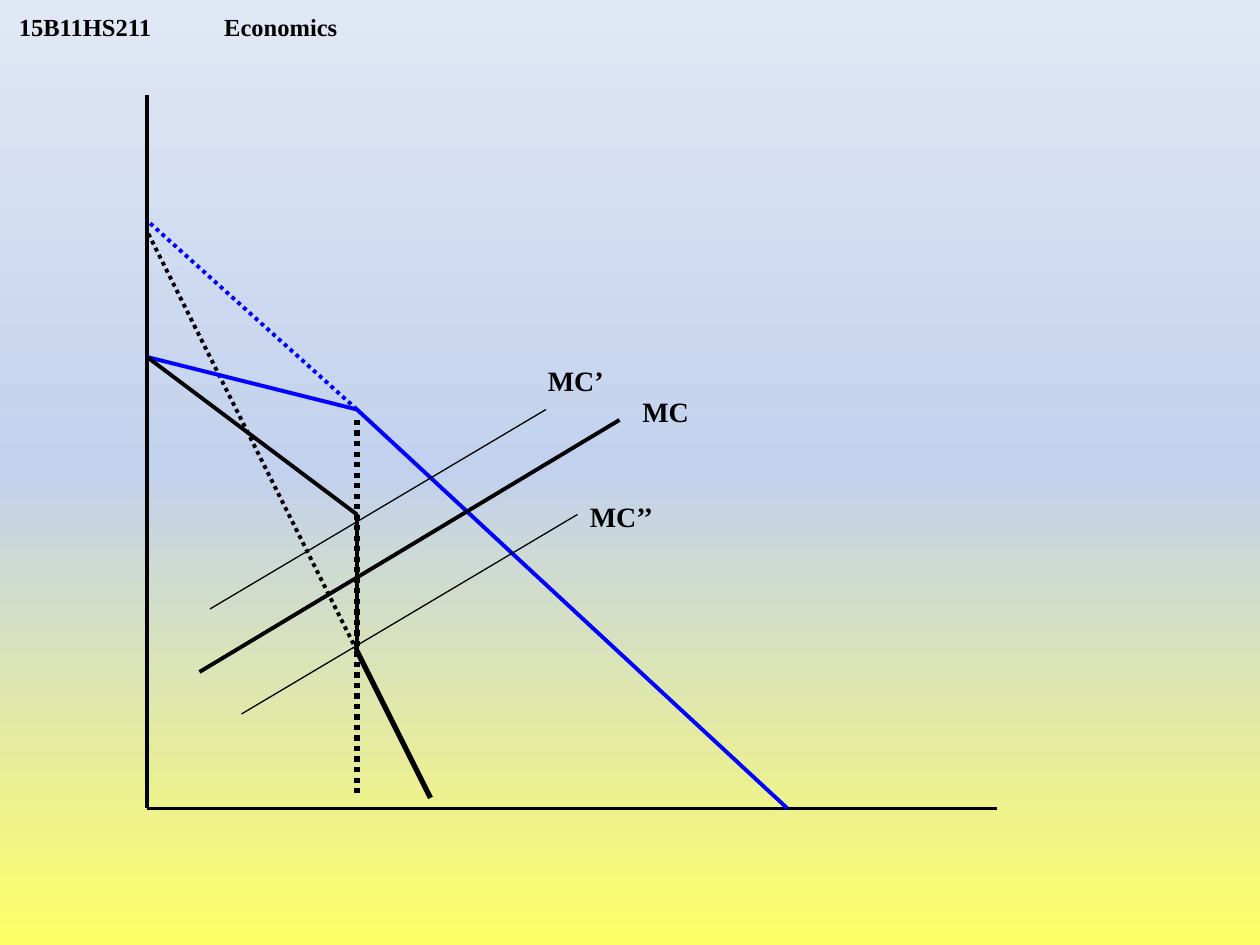
import copy
import lxml.etree
import pptx
import pptx.dml.color
import pptx.enum.dml
import pptx.enum.shapes
import pptx.enum.text
import pptx.oxml.ns
import pptx.util

INK = {"black": "000000", "blue": "0000FF", "sky": "E1E8F5", "mist": "C2D1ED", "sun": "FFFF66"}
FONT = "Times New Roman"
UNIT = 2.54 / 12
qn = pptx.oxml.ns.qn


def tint(name):
    return pptx.dml.color.RGBColor.from_string(INK[name])


def grid(n):
    return pptx.util.Cm(n * UNIT)


def write(frame, text, size=16, color="black", bold=True, tab=None):
    para = frame.paragraphs[0]
    if tab:
        tabs = lxml.etree.SubElement(para._p.get_or_add_pPr(), qn("a:tabLst"))
        lxml.etree.SubElement(tabs, qn("a:tab"), pos=str(tab), algn="l")
    run = para.add_run()
    run.text = text
    run.font.name = FONT
    run.font.size = pptx.util.Pt(size)
    run.font.bold = bold
    run.font.color.rgb = tint(color)


class Graph:
    def __init__(self, slide):
        self.slide = slide

    def back(self, *names):
        fill = self.slide.background.fill
        fill.gradient()
        fill.gradient_angle = 270
        stops = self.slide.element.find(".//" + qn("a:gsLst"))
        stops.insert(1, copy.deepcopy(stops[0]))
        for i, (stop, name) in enumerate(zip(fill.gradient_stops, names)):
            stop.position = i / (len(names) - 1)
            stop.color.rgb = tint(name)

    def line(self, start, end, color="black", width=2.25, dots=False):
        kind = pptx.enum.shapes.MSO_CONNECTOR.STRAIGHT
        link = self.slide.shapes.add_connector(kind, *map(grid, start + end))
        link.line.color.rgb = tint(color)
        link.line.width = pptx.util.Pt(width)
        if dots:
            link.line.dash_style = pptx.enum.dml.MSO_LINE.ROUND_DOT
        lxml.etree.SubElement(link._element.spPr, qn("a:effectLst"))

    def head(self, text):
        box = self.slide.shapes.add_textbox(*map(pptx.util.Cm, (0.13, 0, 8.13, 0.84)))
        frame = box.text_frame
        frame.word_wrap = True
        frame.vertical_anchor = pptx.enum.text.MSO_ANCHOR.BOTTOM
        frame.margin_top = frame.margin_bottom = 0
        write(frame, text, size=14, tab=pptx.util.Cm(4.14))

    def label(self, text, left, top, width):
        size = pptx.util.Cm(width), pptx.util.Cm(0.94)
        box = self.slide.shapes.add_textbox(grid(left), grid(top), *size)
        frame = box.text_frame
        frame.word_wrap = False
        frame.auto_size = pptx.enum.text.MSO_AUTO_SIZE.SHAPE_TO_FIT_TEXT
        write(frame, text)


def main():
    deck = pptx.Presentation()
    deck.slide_width = pptx.util.Cm(25.4)
    deck.slide_height = pptx.util.Cm(19.05)
    graph = Graph(deck.slides.add_slide(deck.slide_layouts[6]))
    graph.back("sky", "mist", "sun")
    graph.head("15B11HS211\tEconomics")

    base, kink, start = (14, 77), (34, 39), (14, 34)
    high, low = (34, 49), (34, 62)

    graph.line((14, 9), base)
    graph.line((95, 77), base)
    graph.line(kink, (75, 77), color="blue")
    graph.line(kink, (14, 21), color="blue", dots=True)
    graph.line((41, 76), low, width=3)
    graph.line((20, 58), (52, 39), width=0.75)
    graph.line((34, 40), (34, 76), width=3, dots=True)
    graph.line(low, (14, 22), dots=True)
    graph.line(kink, start, color="blue")
    graph.line(high, low)
    graph.line((23, 68), (55, 49), width=0.75)
    graph.line((19, 64), (59, 40))
    graph.label("MC", 60, 37, 1.45)
    graph.label("MC’’", 55, 47, 1.83)
    graph.label("MC’", 51, 34, 1.65)
    graph.line(high, start)
    deck.save("out.pptx")


if __name__ == "__main__":
    main()
